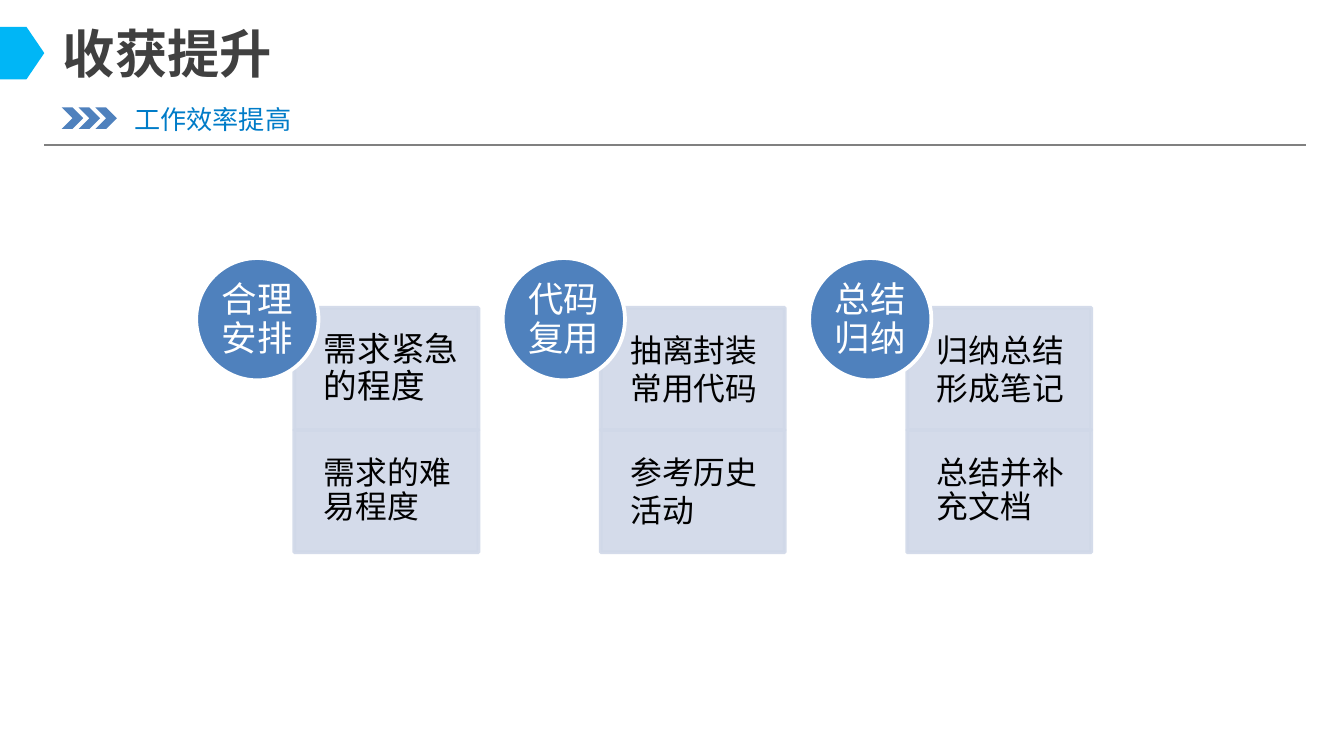
import pptx
import pptx.dml.color
import pptx.enum.shapes
import pptx.enum.text
import pptx.oxml.ns
import pptx.util
from lxml import etree

Inches = pptx.util.Inches
Pt = pptx.util.Pt
SHAPE = pptx.enum.shapes.MSO_SHAPE
ALIGN = pptx.enum.text.PP_ALIGN
ANCHOR = pptx.enum.text.MSO_ANCHOR

COLORS = {
    "title": "404040",
    "subtitle": "007CC8",
    "marker": "00B6F6",
    "accent": "4F81BD",
    "card": "D0D8E8",
    "rule": "808080",
    "black": "000000",
    "white": "FFFFFF",
}
CJK_FONT = "Noto Sans CJK SC"
BODY_FONT = "Calibri"

TOPICS = [
    ("合理安排", [("需求紧急的程度", 18, 0.9), ("需求的难易程度", 17, 0.9)]),
    ("代码复用", [("抽离封装常用代码", 17, 1.0), ("参考历史活动", 17, 1.0)]),
    ("总结归纳", [("归纳总结形成笔记", 17, 1.0), ("总结并补充文档", 17, 0.9)]),
]


def rgb(name):
    return pptx.dml.color.RGBColor.from_string(COLORS[name])


def sub_element(parent, tag, **attributes):
    return etree.SubElement(parent, pptx.oxml.ns.qn(tag), **attributes)


def write_text(holder, text, size, color, font=BODY_FONT, bold=False, align=ALIGN.LEFT,
               spacing=1.0, insets=(0, 0, 0, 0), wrap=True, anchor=ANCHOR.MIDDLE):
    frame = holder.text_frame
    frame.word_wrap = wrap
    frame.vertical_anchor = anchor
    frame.margin_left, frame.margin_top, frame.margin_right, frame.margin_bottom = map(Inches, insets)
    paragraph = frame.paragraphs[0]
    paragraph.alignment = align
    paragraph.line_spacing = spacing
    run = paragraph.add_run()
    run.text = text
    run.font.size = Pt(size)
    run.font.bold = bold
    run.font.color.rgb = rgb(color)
    run.font.name = font
    sub_element(run.font._element, "a:ea", typeface=font)


def add_block(slide, preset, box, fill, outline=None, opacity=None):
    block = slide.shapes.add_shape(preset, *map(Inches, box))
    block.shadow.inherit = False
    block.fill.solid()
    block.fill.fore_color.rgb = rgb(fill)
    if outline:
        block.line.color.rgb = rgb(outline)
        block.line.width = Pt(2)
    else:
        block.line.fill.background()
    if opacity:
        for color in block._element.spPr.iter(pptx.oxml.ns.qn("a:srgbClr")):
            sub_element(color, "a:alpha", val=str(opacity * 1000))
    return block


def add_label(slide, box, text, size, color, bold=False):
    label = slide.shapes.add_textbox(*map(Inches, box))
    write_text(label, text, size, color, font=CJK_FONT, bold=bold, wrap=False,
               anchor=ANCHOR.TOP, insets=(0.1, 0.05, 0.1, 0.05))


def add_header(slide, left, top, width):
    add_label(slide, (left + 0.04, top, 1.77, 0.57), "收获提升", 28, "title", bold=True)
    marker = add_block(slide, SHAPE.CHEVRON, (left - 0.53, top + 0.09, 0.53, 0.39), "marker")
    marker.adjustments[0] = 0.34
    arrow_pitch = 0.25 / 2
    for index in range(3):
        add_block(slide, SHAPE.CHEVRON,
                  (left + 0.13 + index * arrow_pitch, top + 0.69, 0.16, 0.16), "accent")
    add_label(slide, (left + 0.57, top + 0.61, 1.38, 0.34), "工作效率提高", 14, "subtitle")

    rule_top = Inches(top + 0.97)
    rule = slide.shapes.add_connector(pptx.enum.shapes.MSO_CONNECTOR.STRAIGHT,
                                      Inches(left), rule_top, Inches(left + width), rule_top)
    rule.line.color.rgb = rgb("rule")
    rule.line.width = Pt(0.75)
    sub_element(rule._element.spPr, "a:effectLst")


def add_topic(slide, left, top, name, details):
    cell = 0.91
    for row, (detail, size, spacing) in enumerate(details):
        card = add_block(slide, SHAPE.RECTANGLE,
                         (left + 0.73, top + 0.37 + row * cell, 1.37, cell),
                         "card", outline="card", opacity=90)
        write_text(card, detail, size, "black", spacing=spacing,
                   insets=(0.22, 0.13, 0.13, 0.13))
    badge = add_block(slide, SHAPE.OVAL, (left, top, cell, cell), "accent", outline="white")
    write_text(badge, name, 19, "white", align=ALIGN.CENTER, spacing=0.9,
               insets=(0, 0.02, 0, 0))


def main():
    deck = pptx.Presentation()
    deck.slide_width = Inches(10)
    deck.slide_height = deck.slide_width * 9 // 16
    slide = deck.slides.add_slide(deck.slide_layouts[6])
    add_header(slide, 0.33, 0.11, 9.39)
    for column, (name, details) in enumerate(TOPICS):
        add_topic(slide, 1.46 + column * 2.28, 1.92, name, details)
    deck.save("out.pptx")


if __name__ == "__main__":
    main()
